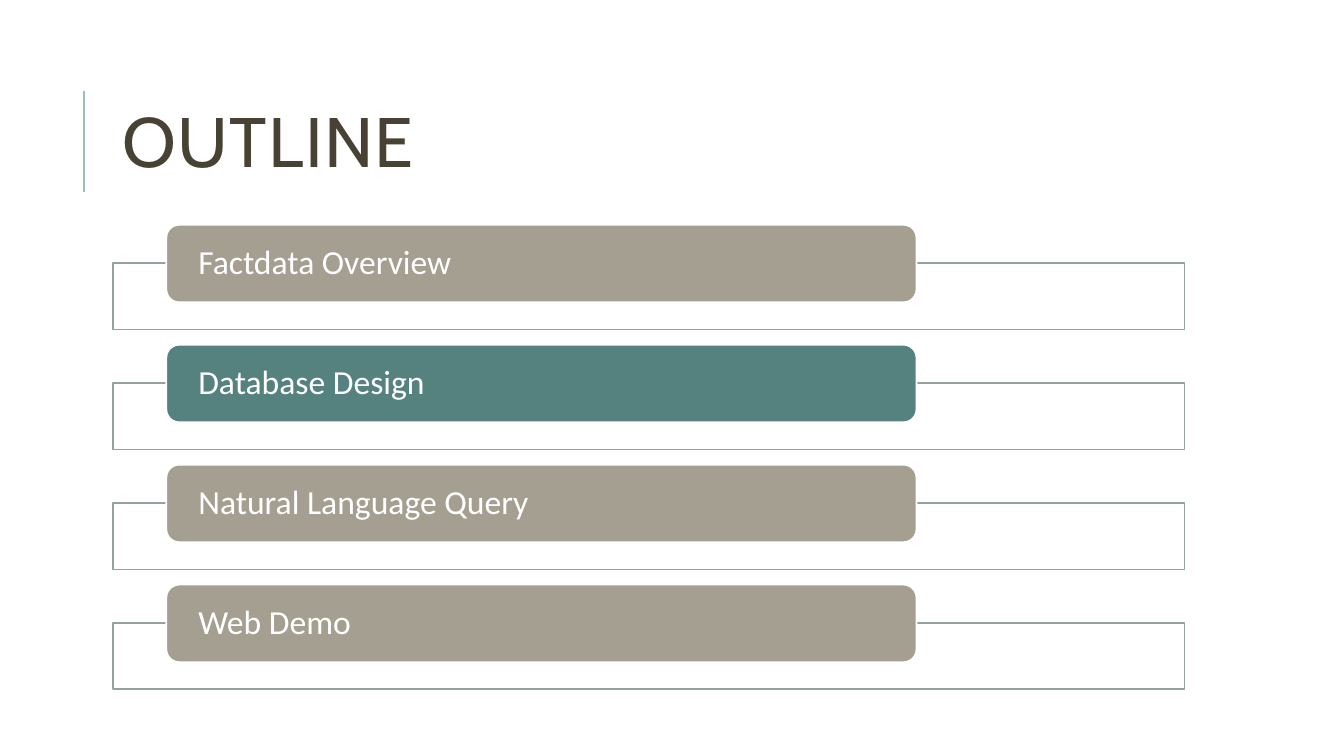
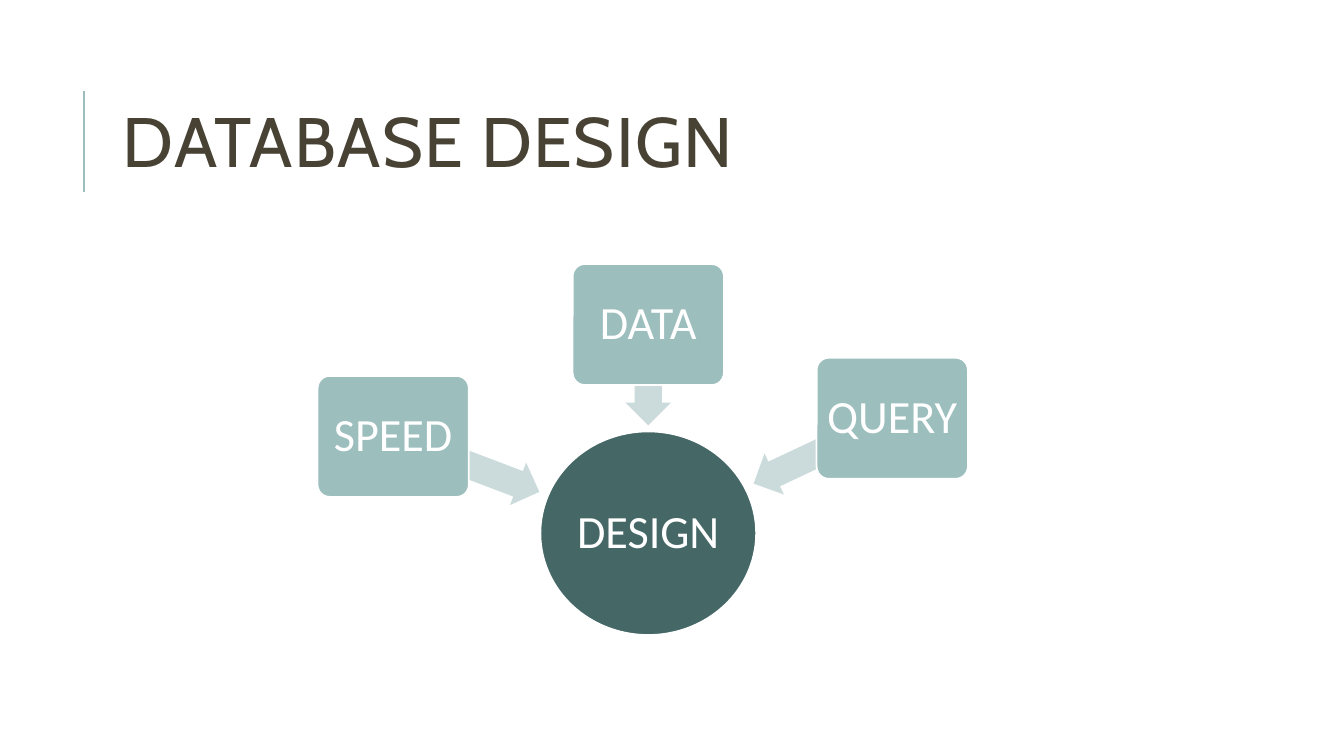
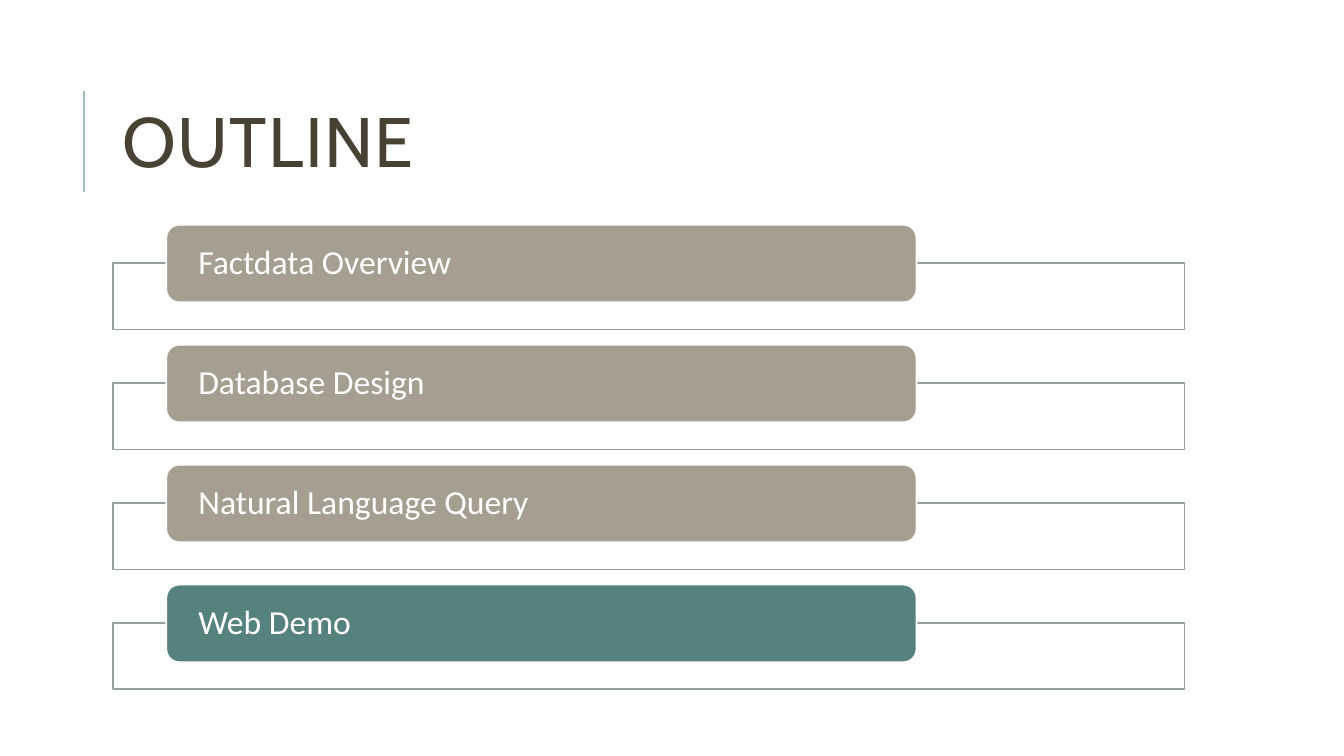
from math import atan2, cos, degrees, sin

from lxml import etree
from pptx import Presentation
from pptx.dml.color import RGBColor
from pptx.enum.shapes import MSO_CONNECTOR, MSO_SHAPE as SHAPE
from pptx.enum.text import MSO_ANCHOR, PP_ALIGN as ALIGN
from pptx.oxml.ns import qn
from pptx.util import Pt

# Content
TOPICS = ["Factdata Overview", "Database Design", "Natural Language Query", "Web Demo"]
GOAL = "DESIGN"
FACTORS = [  # label, left, top, arrow length
    ("SPEED", 315, 373, 155),
    ("DATA", 568, 262, 100),
    ("QUERY", 810, 355, 152),
]

# Shared look
PX = 9144  # 100 px to the inch
COLORS = {
    "white": "FFFFFF", "title": "474233", "rule": "9CBEBD", "panel": "95A39D",
    "topic": "A49F91", "current": "55817F", "goal": "456867",
    "factor": "9CBEBD", "arrow": "CBDBDB",
}
TITLE = {"size": Pt(50), "name": "Cabin"}
TOPIC = {"size": Pt(24), "name": "Calibri"}
NODE = {"size": Pt(33), "name": "Calibri"}

# Layout in px
TITLE_BOX = (112, 64, 1063, 164)
RULE_X, RULE_TOP, RULE_BOTTOM = 83, 90, 190
PANEL = (112, 261, 1063, 66)
BAR = (165, 223, 744, 77)
PITCH = 119
GOAL_BOX = (536, 428, 214, 202)
FACTOR_W, FACTOR_H = 150, 120
ARROW_H = 45


def emu(*lengths):
    return [round(v * PX) for v in lengths]


def rgb(name):
    return RGBColor.from_string(COLORS[name])


def write(sp, text, font, color="white", align=ALIGN.LEFT, spacing=0.9, inset=0):
    tf = sp.text_frame
    tf.word_wrap = True
    tf.vertical_anchor = MSO_ANCHOR.MIDDLE
    side, = emu(inset)
    margins = {"margin_left": side, "margin_right": side, "margin_top": 0, "margin_bottom": 0}
    for key, value in margins.items():
        setattr(tf, key, value)
    p = tf.paragraphs[0]
    p.alignment, p.line_spacing = align, spacing
    r = p.add_run()
    r.text = text
    for key, value in font.items():
        setattr(r.font, key, value)
    r.font.color.rgb = rgb(color)
    return r


def add_block(slide, kind, box, fill, line="white", adj=None):
    sp = slide.shapes.add_shape(kind, *emu(*box))
    sp.shadow.inherit = False
    sp.fill.solid()
    sp.fill.fore_color.rgb = rgb(fill)
    if line:
        sp.line.color.rgb = rgb(line)
        sp.line.width = Pt(1.25)
    else:
        sp.line.fill.background()
    for i, value in enumerate(adj or []):
        sp.adjustments[i] = value
    return sp


def add_titled_slide(prs, title):
    slide = prs.slides.add_slide(prs.slide_layouts[6])
    rule = slide.shapes.add_connector(
        MSO_CONNECTOR.STRAIGHT, *emu(RULE_X, RULE_BOTTOM, RULE_X, RULE_TOP))
    rule.line.color.rgb = rgb("rule")
    rule.line.width = Pt(1.5)
    etree.SubElement(rule._element.spPr, qn("a:effectLst"))
    box = slide.shapes.add_textbox(*emu(*TITLE_BOX))
    r = write(box, title, TITLE, "title", spacing=0.8, inset=10)
    r.font._element.set("spc", "100")
    return slide


def add_outline(prs, current):
    slide = add_titled_slide(prs, "OUTLINE")
    for i, topic in enumerate(TOPICS):
        # Panel behind, 90 % opaque
        x, y, w, h = PANEL
        panel = add_block(slide, SHAPE.RECTANGLE, (x, y + i * PITCH, w, h), "white", "panel")
        color = panel._element.spPr.find(qn("a:solidFill"))[0]
        etree.SubElement(color, qn("a:alpha"), val="90000")
        # Topic bar in front
        x, y, w, h = BAR
        fill = "current" if topic == current else "topic"
        bar = add_block(slide, SHAPE.ROUNDED_RECTANGLE, (x, y + i * PITCH, w, h), fill)
        write(bar, topic, TOPIC, inset=28)


def add_design(prs):
    slide = add_titled_slide(prs, "DATABASE DESIGN")
    goal = add_block(slide, SHAPE.OVAL, GOAL_BOX, "goal")
    write(goal, GOAL, NODE, align=ALIGN.CENTER, inset=2)
    x, y, w, h = GOAL_BOX
    goal_x, goal_y = x + w / 2, y + h / 2
    for label, left, top, length in FACTORS:
        # Arrow from the centre of the factor towards the centre of the goal
        cx, cy = left + FACTOR_W / 2, top + FACTOR_H / 2
        angle = atan2(goal_y - cy, goal_x - cx)
        mid_x, mid_y = cx + cos(angle) * length / 2, cy + sin(angle) * length / 2
        arrow = add_block(
            slide, SHAPE.RIGHT_ARROW,
            (mid_x - length / 2, mid_y - ARROW_H / 2, length, ARROW_H),
            "arrow", None, [0.6, 0.5])
        arrow.rotation = degrees(angle)
        # Factor over the tail of its arrow
        factor = add_block(slide, SHAPE.ROUNDED_RECTANGLE,
                           (left, top, FACTOR_W, FACTOR_H), "factor", adj=[0.1])
        write(factor, label, NODE, align=ALIGN.CENTER, inset=5)


def main():
    prs = Presentation()
    prs.slide_width, prs.slide_height = emu(1333, 750)
    add_outline(prs, "Database Design")
    add_design(prs)
    add_outline(prs, "Web Demo")
    prs.save("out.pptx")


if __name__ == "__main__":
    main()
